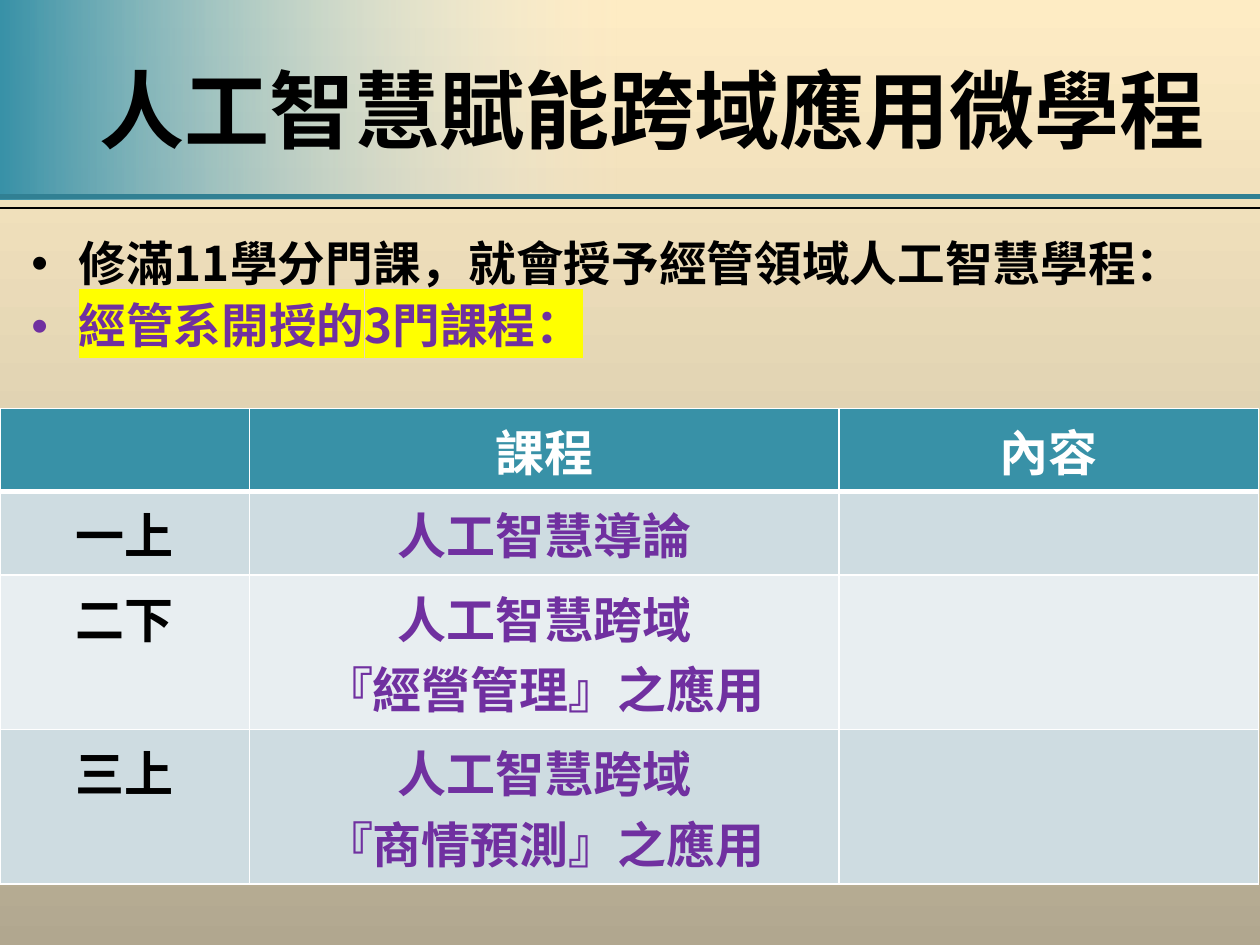
from dataclasses import dataclass

from lxml.etree import SubElement
from pptx import Presentation
from pptx.dml.color import RGBColor
from pptx.enum.shapes import MSO_CONNECTOR, MSO_SHAPE
from pptx.enum.text import MSO_ANCHOR, MSO_AUTO_SIZE, PP_ALIGN
from pptx.oxml.ns import qn
from pptx.util import Pt

FONT = "Noto Sans CJK SC"
COLORS = {
    "teal": "3891A7",
    "dark teal": "318093",
    "black": "000000",
    "white": "FFFFFF",
    "purple": "7030A0",
    "yellow": "FFFF00",
    "odd row": "CEDCE1",
    "even row": "E8EEF1",
    "sand dark": "B1A78F",
    "sand": "D3C7AA",
    "cream": "FEECC4",
}
PAGE_WIDTH, PAGE_HEIGHT = 720, 540
COLUMN_WIDTHS = (142.5, 337, 239.8)


@dataclass
class Stop:
    percent: int
    color: str
    opaque: bool = True


@dataclass
class Rule:
    top: float
    color: str
    weight: float


@dataclass
class Bullet:
    text: str
    color: str
    highlight: str = ""


@dataclass
class Row:
    height: float
    fill: str
    texts: tuple[str, str, str]
    colors: tuple[str, str, str]
    bottom_border: float = 1


RULES = (Rule(112.5, "dark teal", 3), Rule(118.8, "black", 1.25))
BULLETS = (
    Bullet("修滿11學分門課，就會授予經管領域人工智慧學程：", "black"),
    Bullet("經管系開授的3門課程：", "purple", "yellow"),
)
BODY_COLORS = ("black", "purple", "purple")
ROWS = (
    Row(47.7, "teal", ("", "課程", "內容"), ("white",) * 3, 3),
    Row(47.7, "odd row", ("一上", "人工智慧導論", ""), BODY_COLORS),
    Row(88.2, "even row", ("二下", "人工智慧跨域\n『經營管理』之應用", ""), BODY_COLORS),
    Row(88.2, "odd row", ("三上", "人工智慧跨域\n『商情預測』之應用", ""), BODY_COLORS),
)


def rgb(name: str) -> RGBColor:
    return RGBColor.from_string(COLORS[name])


def add_color(parent, name: str):
    return SubElement(parent, qn("a:srgbClr"), val=COLORS[name])


def set_gradient(fill, owner, stops: tuple[Stop, ...], angle: float) -> None:
    """Fill with any number of stops; owner is the element that holds the fill."""
    fill.gradient()
    fill.gradient_angle = angle
    stop_list = next(owner.iter(qn("a:gsLst")))
    for old_stop in list(stop_list):
        stop_list.remove(old_stop)
    for stop in stops:
        node = SubElement(stop_list, qn("a:gs"), pos=str(stop.percent * 1000))
        color = add_color(node, stop.color)
        if not stop.opaque:
            SubElement(color, qn("a:alpha"), val="0")


def set_font(paragraph, size: float, color: str) -> None:
    font = paragraph.font
    font.name, font.size, font.bold = FONT, Pt(size), True
    font.color.rgb = rgb(color)
    properties = paragraph._p.pPr.find(qn("a:defRPr"))
    SubElement(properties, qn("a:ea"), typeface=FONT)


def draw_backdrop(page) -> None:
    sand = (Stop(0, "sand dark"), Stop(35, "sand"), Stop(100, "cream"))
    set_gradient(page.background.fill, page._element, sand, 90)
    band = page.shapes.add_shape(MSO_SHAPE.RECTANGLE, 0, 0, Pt(PAGE_WIDTH), Pt(113.8))
    band.shadow.inherit = False
    band.line.fill.background()
    fade = (Stop(0, "teal"), Stop(49, "even row", False))
    set_gradient(band.fill, band._element, fade, 0)


def draw_rule(page, rule: Rule) -> None:
    line = page.shapes.add_connector(
        MSO_CONNECTOR.STRAIGHT, 0, Pt(rule.top), Pt(PAGE_WIDTH), Pt(rule.top)
    )
    line.line.color.rgb = rgb(rule.color)
    line.line.width = Pt(rule.weight)
    SubElement(line._element.spPr, qn("a:effectLst"))


def place_title(page, text: str) -> None:
    title = page.shapes.title
    title.left, title.top, title.width, title.height = Pt(36), Pt(12.2), Pt(673), Pt(99.4)
    page.shapes._spTree.append(title._element)  # in front of the band
    frame = title.text_frame
    frame.text = text
    frame.auto_size = MSO_AUTO_SIZE.NONE
    frame.vertical_anchor = MSO_ANCHOR.MIDDLE
    frame.paragraphs[0].alignment = PP_ALIGN.CENTER
    set_font(frame.paragraphs[0], 48.6, "black")


def draw_bullets(page, bullets: tuple[Bullet, ...]) -> None:
    box = page.shapes.add_textbox(Pt(10.8), Pt(133.9), Pt(698.4), Pt(99.4))
    frame = box.text_frame
    frame.word_wrap = True
    frame.text = "\n".join(bullet.text for bullet in bullets)
    for para, bullet in zip(frame.paragraphs, bullets):
        para.line_spacing = 0.9
        para.space_after = Pt(6.2)
        properties = para._p.get_or_add_pPr()
        properties.set("marL", str(Pt(27)))
        properties.set("indent", str(Pt(-27)))
        add_color(SubElement(properties, qn("a:buClr")), bullet.color)
        SubElement(properties, qn("a:buFont"), typeface="Arial")
        SubElement(properties, qn("a:buChar"), char="•")
        set_font(para, 27.2, bullet.color)
        if bullet.highlight:
            span = para.runs[0]._r.get_or_add_rPr()
            add_color(SubElement(span, qn("a:highlight")), bullet.highlight)


def format_cell(cell, text: str, color: str, row: Row) -> None:
    properties = cell._tc.get_or_add_tcPr()
    for side in "LRTB":
        weight = row.bottom_border if side == "B" else 1
        border = SubElement(properties, qn(f"a:ln{side}"), w=str(Pt(weight)))
        add_color(SubElement(border, qn("a:solidFill")), "white")
    cell.fill.solid()
    cell.fill.fore_color.rgb = rgb(row.fill)
    if text:
        cell.text = text
        for para in cell.text_frame.paragraphs:
            para.alignment = PP_ALIGN.CENTER
            set_font(para, 28, color)


def draw_course_table(page, rows: tuple[Row, ...]) -> None:
    height = sum(row.height for row in rows)
    table = page.shapes.add_table(
        len(rows), len(COLUMN_WIDTHS), 0, Pt(233.3), Pt(sum(COLUMN_WIDTHS)), Pt(height)
    ).table
    for column, width in zip(table.columns, COLUMN_WIDTHS):
        column.width = Pt(width)
    for table_row, row in zip(table.rows, rows):
        table_row.height = Pt(row.height)
        for cell, text, color in zip(table_row.cells, row.texts, row.colors):
            format_cell(cell, text, color, row)


def main() -> None:
    deck = Presentation()
    deck.slide_width, deck.slide_height = Pt(PAGE_WIDTH), Pt(PAGE_HEIGHT)
    page = deck.slides.add_slide(deck.slide_layouts.get_by_name("Title Only"))
    draw_backdrop(page)
    for rule in RULES:
        draw_rule(page, rule)
    draw_bullets(page, BULLETS)
    place_title(page, "人工智慧賦能跨域應用微學程")
    draw_course_table(page, ROWS)
    deck.save("out.pptx")


if __name__ == "__main__":
    main()
